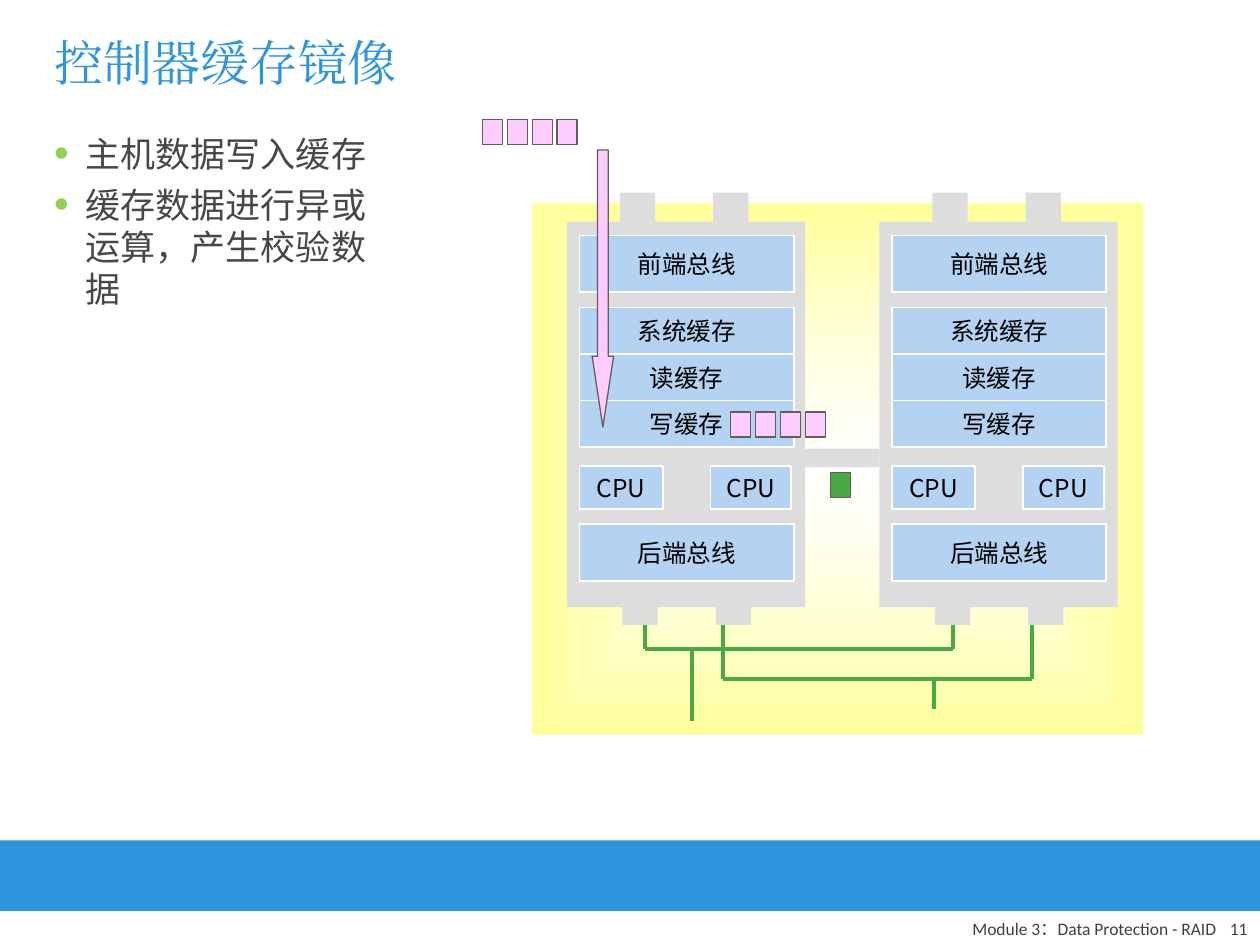
from lxml import etree
from pptx import Presentation, util as u
from pptx.dml.color import RGBColor
from pptx.enum import shapes as kinds, text as t
from pptx.oxml import ns, parse_xml

# Content
TITLE = "控制器缓存镜像"
BULLETS = ["主机数据写入缓存", "缓存数据进行异或运算，产生校验数据"]
FOOTERS = [  # text, left, width
    ("Module 3：Data Protection - RAID", 5.17, 4.58),
    ("11", 9.5, 0.5),
]
CONTROLLER_LEFTS = [4.5, 6.98]
PORTS = [  # offset from controller, top
    (0.42, 1.53), (1.16, 1.53), (0.44, 4.73), (1.18, 4.73),
]
UNITS = [  # label, offset from controller, top, width, height
    ("前端总线", 0.1, 1.87, 1.7, 0.45),
    ("系统缓存", 0.1, 2.44, 1.7, 0.37),
    ("读缓存", 0.1, 2.81, 1.7, 0.37),
    ("写缓存", 0.1, 3.18, 1.7, 0.37),
    ("CPU", 0.1, 3.7, 0.66, 0.34),
    ("CPU", 1.14, 3.7, 0.64, 0.34),
    ("后端总线", 0.1, 4.16, 1.7, 0.45),
]
PORT_BOTTOM = 4.96
LOOPS = [  # left, right, level, drop position, drop bottom
    (5.12, 7.56, 5.15, 5.49, 5.72),
    (5.74, 8.19, 5.39, 7.41, 5.63),
]
DATA_ROWS = [(3.83, 0.95), (5.8, 3.27)]
BLOCKS_PER_ROW, BLOCK_PITCH = 4, 0.197
BLOCK_WIDTH, BLOCK_HEIGHT = 0.16, 0.2

# Colours and fonts
BLUE = RGBColor(0x2C, 0x95, 0xDD)
BODY_GRAY = RGBColor(0x47, 0x47, 0x47)
FOOTER_GRAY = RGBColor(0x40, 0x40, 0x40)
CASE_GRAY = RGBColor(0xDD, 0xDD, 0xDD)
EDGE_GRAY = RGBColor(0x5F, 0x5F, 0x5F)
UNIT_BLUE = RGBColor(0x99, 0xCC, 0xFF)
PINK = RGBColor(0xFF, 0xCC, 0xFF)
GREEN = RGBColor(0x49, 0xA9, 0x42)
WHITE = RGBColor(0xFF, 0xFF, 0xFF)
BLACK = RGBColor(0, 0, 0)
HEADING_FONT, BODY_FONT, UNIT_FONT = "Times New Roman", "Calibri", "Noto Sans CJK SC"

INSETS = {"margin_left": u.Inches(0.1), "margin_right": u.Inches(0.1),
          "margin_top": u.Inches(0.05), "margin_bottom": u.Inches(0.05)}
GLOW = f"""<a:gradFill {ns.nsdecls('a')} rotWithShape="1"><a:gsLst>
<a:gs pos="0"><a:srgbClr val="FFFFFF"><a:alpha val="50000"/></a:srgbClr></a:gs>
<a:gs pos="100000"><a:srgbClr val="FFFF99"/></a:gs></a:gsLst>
<a:path path="rect"><a:fillToRect l="50000" t="50000" r="50000" b="50000"/></a:path>
</a:gradFill>"""
BULLET_MARKS = [
    '<a:buClr {}><a:srgbClr val="92D050"/></a:buClr>',
    '<a:buSzPct {} val="120000"/>',
    '<a:buFont {} typeface="Arial"/>',
    '<a:buChar {} char="•"/>',
]


def apply(target, **values):
    for name, value in values.items():
        setattr(target, name, value)


def place(shape, *box):
    names = ("left", "top", "width", "height")
    apply(shape, **{name: u.Inches(value) for name, value in zip(names, box)})


def write(shape, lines, font, size, color, align, anchor, wrap=True):
    frame = shape.text_frame
    frame.text = "\n".join(lines)
    apply(frame, auto_size=t.MSO_AUTO_SIZE.NONE, word_wrap=wrap,
          vertical_anchor=anchor, **INSETS)
    for paragraph in frame.paragraphs:
        paragraph.alignment = align
        run = paragraph.runs[0]
        apply(run.font, name=font, size=u.Pt(size))
        run.font.color.rgb = color
        east_asian = etree.Element(ns.qn("a:ea"), typeface=font)
        run.font._element.find(ns.qn("a:latin")).addnext(east_asian)
    return frame.paragraphs


def add_box(parent, box, fill, line=None, line_width=0.75,
            kind=kinds.MSO_SHAPE.RECTANGLE):
    shape = parent.shapes.add_shape(kind, *map(u.Inches, box))
    shape.shadow.inherit = False
    shape.fill.solid()
    shape.fill.fore_color.rgb = fill
    if line is None:
        shape.line.fill.background()
    else:
        shape.line.color.rgb = line
        shape.line.width = u.Pt(line_width)
    return shape


def add_cable(parent, *ends):
    cable = parent.shapes.add_connector(
        kinds.MSO_CONNECTOR.STRAIGHT, *map(u.Inches, ends))
    cable.line.color.rgb = GREEN
    cable.line.width = u.Pt(2.25)
    etree.SubElement(cable._element.spPr, ns.qn("a:effectLst"))


def add_controller(parent, left):
    add_box(parent, (left, 1.76, 1.89, 3.06), CASE_GRAY)
    for offset, top in PORTS:
        add_box(parent, (left + offset, top, 0.28, 0.23), CASE_GRAY)
    for label, offset, top, width, height in UNITS:
        unit = add_box(parent, (left + offset, top, width, height), UNIT_BLUE, WHITE, 1)
        color = unit._element.spPr.find(ns.qn("a:solidFill"))[0]
        etree.SubElement(color, ns.qn("a:alpha"), val="60000")
        write(unit, [label], UNIT_FONT, 14, BLACK,
              t.PP_ALIGN.CENTER, t.MSO_ANCHOR.MIDDLE, wrap=False)


def main():
    presentation = Presentation()
    apply(presentation, slide_width=u.Inches(10), slide_height=u.Inches(7.5))
    slide = presentation.slides.add_slide(presentation.slide_layouts[1])

    # Title and bullets
    title, body = slide.shapes.title, slide.placeholders[1]
    place(title, 0.33, 0.08, 9.25, 0.83)
    write(title, [TITLE], HEADING_FONT, 28, BLUE, t.PP_ALIGN.LEFT, t.MSO_ANCHOR.MIDDLE)
    place(body, 0.33, 1, 2.83, 5.33)
    for paragraph in write(body, BULLETS, BODY_FONT, 20, BODY_GRAY,
                           t.PP_ALIGN.LEFT, t.MSO_ANCHOR.TOP):
        paragraph.space_before = u.Pt(5)
        properties = paragraph._p.get_or_add_pPr()
        properties.set("marL", str(u.Inches(0.25)))
        properties.set("indent", str(u.Inches(-0.25)))
        for mark in BULLET_MARKS:
            properties.append(parse_xml(mark.format(ns.nsdecls("a"))))

    # Band and footer
    add_box(slide, (0, 6.67, 10, 0.56), BLUE)
    for label, left, width in FOOTERS:
        footer = slide.shapes.add_textbox(*map(u.Inches, (left, 7.25, width, 0.25)))
        write(footer, [label], BODY_FONT, 10, FOOTER_GRAY,
              t.PP_ALIGN.RIGHT, t.MSO_ANCHOR.BOTTOM)

    # Storage array: glow, cables, controllers
    array = slide.shapes.add_group_shape()
    glow = add_box(array, (4.23, 1.62, 4.84, 4.21), WHITE)
    properties = glow._element.spPr
    properties.replace(properties.find(ns.qn("a:solidFill")), parse_xml(GLOW))
    for left, right, level, drop, bottom in LOOPS:
        add_cable(array, left, level, right, level)
        for end in (left, right):
            add_cable(array, end, level, end, PORT_BOTTOM)
        add_cable(array, drop, level, drop, bottom)
    for left in CONTROLLER_LEFTS:
        add_controller(array, left)
    add_box(slide, (6.39, 3.56, 0.59, 0.15), CASE_GRAY)

    # Data blocks, write arrow and parity block
    for left, top in DATA_ROWS:
        row = slide.shapes.add_group_shape()
        for index in range(BLOCKS_PER_ROW):
            add_box(row, (left + index * BLOCK_PITCH, top, BLOCK_WIDTH, BLOCK_HEIGHT),
                    PINK, EDGE_GRAY)
    arrow = add_box(slide, (4.7, 1.19, 0.17, 2.2), PINK, EDGE_GRAY,
                    kind=kinds.MSO_SHAPE.DOWN_ARROW)
    arrow.adjustments[1] = 3.31
    add_box(slide, (6.59, 3.75, BLOCK_WIDTH, BLOCK_HEIGHT), GREEN, EDGE_GRAY)

    presentation.save("out.pptx")


if __name__ == "__main__":
    main()
